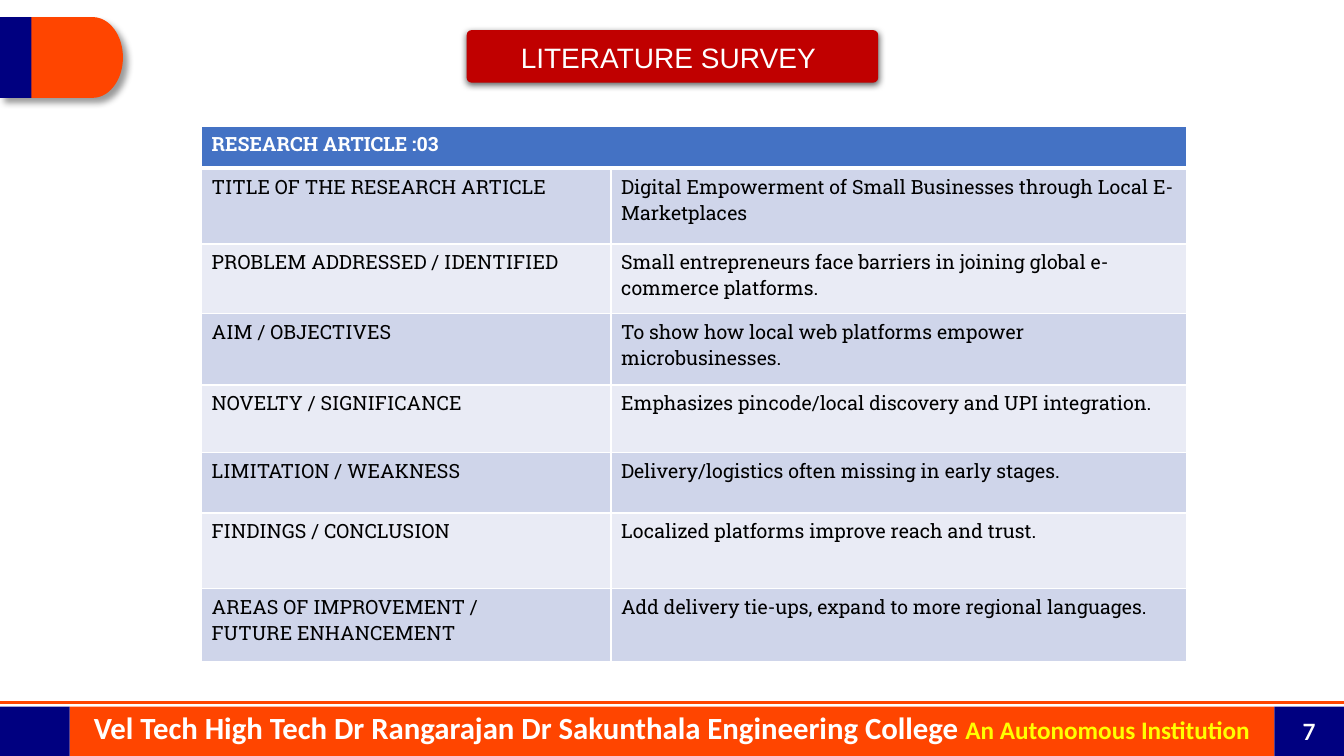
from math import cos, pi, sin

from lxml.etree import SubElement
from pptx import Presentation
from pptx.dml.color import RGBColor
from pptx.enum.shapes import MSO_CONNECTOR, MSO_SHAPE
from pptx.enum.text import MSO_ANCHOR, PP_ALIGN
from pptx.oxml import parse_xml
from pptx.oxml.ns import nsdecls, qn
from pptx.util import Inches, Pt

WHITE = RGBColor(0xFF, 0xFF, 0xFF)
BLACK = RGBColor(0, 0, 0)
ORANGE = RGBColor(0xFF, 0x45, 0x00)
NAVY = RGBColor(0x00, 0x00, 0x80)
YELLOW = RGBColor(0xFF, 0xFF, 0x00)
RED = RGBColor(0xC0, 0x00, 0x00)
HEADER_BLUE = RGBColor(0x44, 0x72, 0xC4)
BAND_COLORS = (RGBColor(0xE9, 0xEB, 0xF5), RGBColor(0xCF, 0xD5, 0xEA))

SLIDE_WIDTH, SLIDE_HEIGHT = Inches(13.33), Inches(7.5)
FOOTER_TOP, FOOTER_HEIGHT = 93.47, 6.53
FOOTER_SIDE = 5.18
TAB_TOP, TAB_HEIGHT = 2.27, 10.67
COLUMN_SHARES = (30.46, 42.84)
ROWS = (
    (5.6, "RESEARCH ARTICLE :03", ""),
    (10, "TITLE OF THE RESEARCH ARTICLE",
     "Digital Empowerment of Small Businesses through Local E-Marketplaces"),
    (9.2, "PROBLEM ADDRESSED / IDENTIFIED",
     "Small entrepreneurs face barriers in joining global e-commerce platforms."),
    (9.47, "AIM / OBJECTIVES",
     "To show how local web platforms empower microbusinesses."),
    (8.93, "NOVELTY / SIGNIFICANCE",
     "Emphasizes pincode/local discovery and UPI integration."),
    (8, "LIMITATION / WEAKNESS", "Delivery/logistics often missing in early stages."),
    (10, "FINDINGS / CONCLUSION", "Localized platforms improve reach and trust."),
    (9.6, "AREAS OF IMPROVEMENT /\nFUTURE ENHANCEMENT",
     "Add delivery tie-ups, expand to more regional languages."),
)


def across(share):
    """Turn a percentage of the slide width into a length."""
    return round(SLIDE_WIDTH * share / 100)


def down(share):
    """Turn a percentage of the slide height into a length."""
    return round(SLIDE_HEIGHT * share / 100)


def paint(shape, color):
    """Give a shape a flat fill with no outline and no shadow."""
    shape.fill.solid()
    shape.fill.fore_color.rgb = color
    shape.line.fill.background()
    shape.shadow.inherit = False


def add_block(slide, preset, left, top, width, height, color):
    """Add a flat preset shape placed by shares of the slide."""
    shape = slide.shapes.add_shape(
        preset, across(left), down(top), across(width), down(height))
    paint(shape, color)
    return shape


def add_shadow(shape, opacity, distance, angle):
    """Cast a soft black shadow from a shape."""
    effects = shape.element.spPr.find(qn("a:effectLst"))
    effects.append(parse_xml(
        f'<a:outerShdw {nsdecls("a")} blurRad="{Pt(5)}" dist="{Pt(distance)}" '
        f'dir="{angle * 60000}" algn="t" rotWithShape="0"><a:srgbClr val="000000">'
        f'<a:alpha val="{opacity * 1000}"/></a:srgbClr></a:outerShdw>'))


def format_run(run, font_name, size, color, bold):
    """Set the font of a run."""
    run.font.name = font_name
    run.font.size = Pt(size)
    run.font.color.rgb = color
    run.font.bold = bold


def write_centred(shape, pieces, font_name, bold, line_spacing):
    """Write one centred line from pieces of text, size and colour."""
    text_frame = shape.text_frame
    text_frame.word_wrap = True
    text_frame.vertical_anchor = MSO_ANCHOR.MIDDLE
    paragraph = text_frame.paragraphs[0]
    paragraph.alignment = PP_ALIGN.CENTER
    paragraph.line_spacing = line_spacing
    for text, size, color in pieces:
        run = paragraph.add_run()
        run.text = text
        format_run(run, font_name, size, color, bold)


def add_corner_tab(slide):
    """Add the rounded tab in the top left corner."""
    straight, radius = across(6.9), across(2.25)
    half = down(TAB_HEIGHT / 2)
    middle = down(TAB_TOP) + half
    angles = [-pi / 2 + pi * step / 48 for step in range(49)]
    arc = [(straight + round(radius * cos(angle)), middle + round(half * sin(angle)))
           for angle in angles]
    builder = slide.shapes.build_freeform(0, middle - half)
    builder.add_line_segments(arc + [(0, middle + half)], close=True)
    tab = builder.convert_to_shape()
    paint(tab, ORANGE)
    add_shadow(tab, 40, 5, 45)
    add_block(slide, MSO_SHAPE.RECTANGLE, 0, TAB_TOP, 2.33, TAB_HEIGHT, NAVY)


def add_title(slide):
    """Add the red title plate."""
    plate = add_block(slide, MSO_SHAPE.ROUNDED_RECTANGLE, 34.73, 4, 30.61, 6.93, RED)
    plate.adjustments[0] = 0.09
    add_shadow(plate, 63, 1.5, 90)
    text_frame = plate.text_frame
    text_frame.margin_left = text_frame.margin_top = text_frame.margin_bottom = Inches(0.04)
    text_frame.margin_right = Inches(0.12)
    write_centred(plate, [("LITERATURE SURVEY", 20, WHITE)], "Arial", False, 1.07)


def add_footer(slide):
    """Add the rule, the college band and the page number."""
    rule = slide.shapes.add_connector(
        MSO_CONNECTOR.STRAIGHT, 0, down(92.93), SLIDE_WIDTH, down(92.93))
    rule.line.color.rgb = ORANGE
    rule.line.width = Pt(2)
    SubElement(rule.element.spPr, qn("a:effectLst"))
    right = 100 - FOOTER_SIDE
    band, number, _ = [
        add_block(slide, MSO_SHAPE.RECTANGLE, left, FOOTER_TOP, width, FOOTER_HEIGHT, color)
        for left, width, color in (
            (FOOTER_SIDE, right - FOOTER_SIDE, ORANGE),
            (right, FOOTER_SIDE, NAVY),
            (0, FOOTER_SIDE, NAVY))]
    write_centred(band, [
        ("Vel Tech High Tech Dr Rangarajan Dr Sakunthala Engineering College ", 22, WHITE),
        ("An Autonomous Institution", 18, YELLOW)], "Calibri", True, 0.7)
    write_centred(number, [("7", 16, WHITE)], "Lato", True, 1.0)


def add_borders(cell, top, bottom):
    """Draw white cell borders with the given top and bottom widths."""
    properties = cell._tc.get_or_add_tcPr()
    sides = (("lnL", 1), ("lnR", 1), ("lnT", top), ("lnB", bottom))
    for position, (side, width) in enumerate(sides):
        properties.insert(position, parse_xml(
            f'<a:{side} {nsdecls("a")} w="{Pt(width)}"><a:solidFill>'
            f'<a:srgbClr val="{WHITE}"/></a:solidFill></a:{side}>'))


def fill_cell(cell, text, row_index):
    """Write and colour a cell according to its row."""
    is_header = row_index == 0
    cell.text_frame.text = text
    for paragraph in cell.text_frame.paragraphs:
        for run in paragraph.runs:
            format_run(run, "Roboto Slab", 14, WHITE if is_header else BLACK, is_header)
    cell.fill.solid()
    cell.fill.fore_color.rgb = HEADER_BLUE if is_header else BAND_COLORS[row_index % 2]
    add_borders(cell, 3 if row_index == 1 else 1, 3 if is_header else 1)


def add_survey_table(slide):
    """Add the table that summarises the research article."""
    table = slide.shapes.add_table(
        len(ROWS), len(COLUMN_SHARES), across(15), down(16.67),
        across(sum(COLUMN_SHARES)), down(sum(row[0] for row in ROWS))).table
    for column, share in zip(table.columns, COLUMN_SHARES):
        column.width = across(share)
    for row_index, (share, *texts) in enumerate(ROWS):
        table.rows[row_index].height = down(share)
        for column_index, text in enumerate(texts):
            fill_cell(table.cell(row_index, column_index), text, row_index)
    table.cell(0, 0).merge(table.cell(0, 1))


def main():
    """Build the literature survey slide."""
    presentation = Presentation()
    presentation.slide_width = SLIDE_WIDTH
    presentation.slide_height = SLIDE_HEIGHT
    slide = presentation.slides.add_slide(presentation.slide_layouts[6])
    add_footer(slide)
    add_corner_tab(slide)
    add_title(slide)
    add_survey_table(slide)
    presentation.save("out.pptx")


if __name__ == "__main__":
    main()
